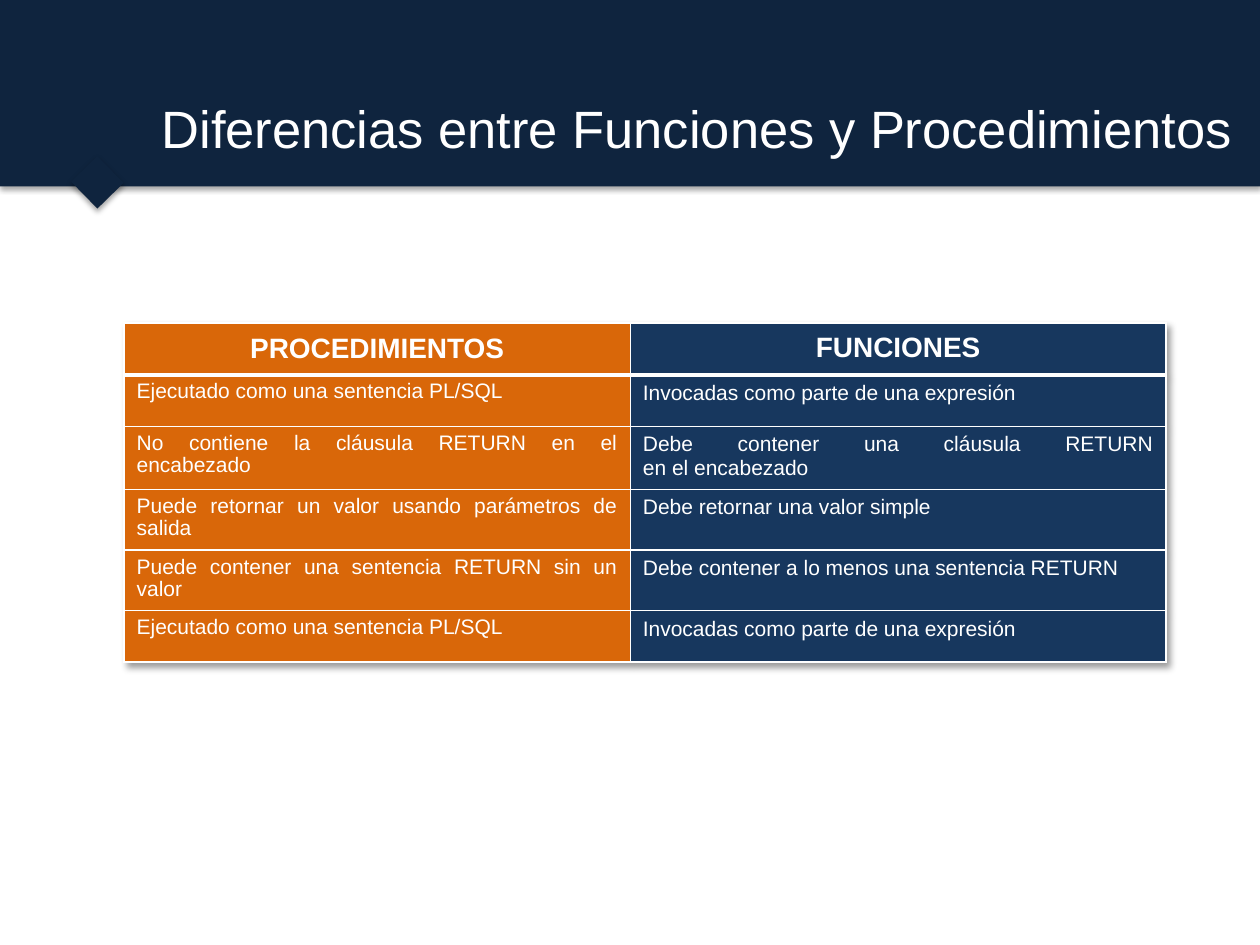
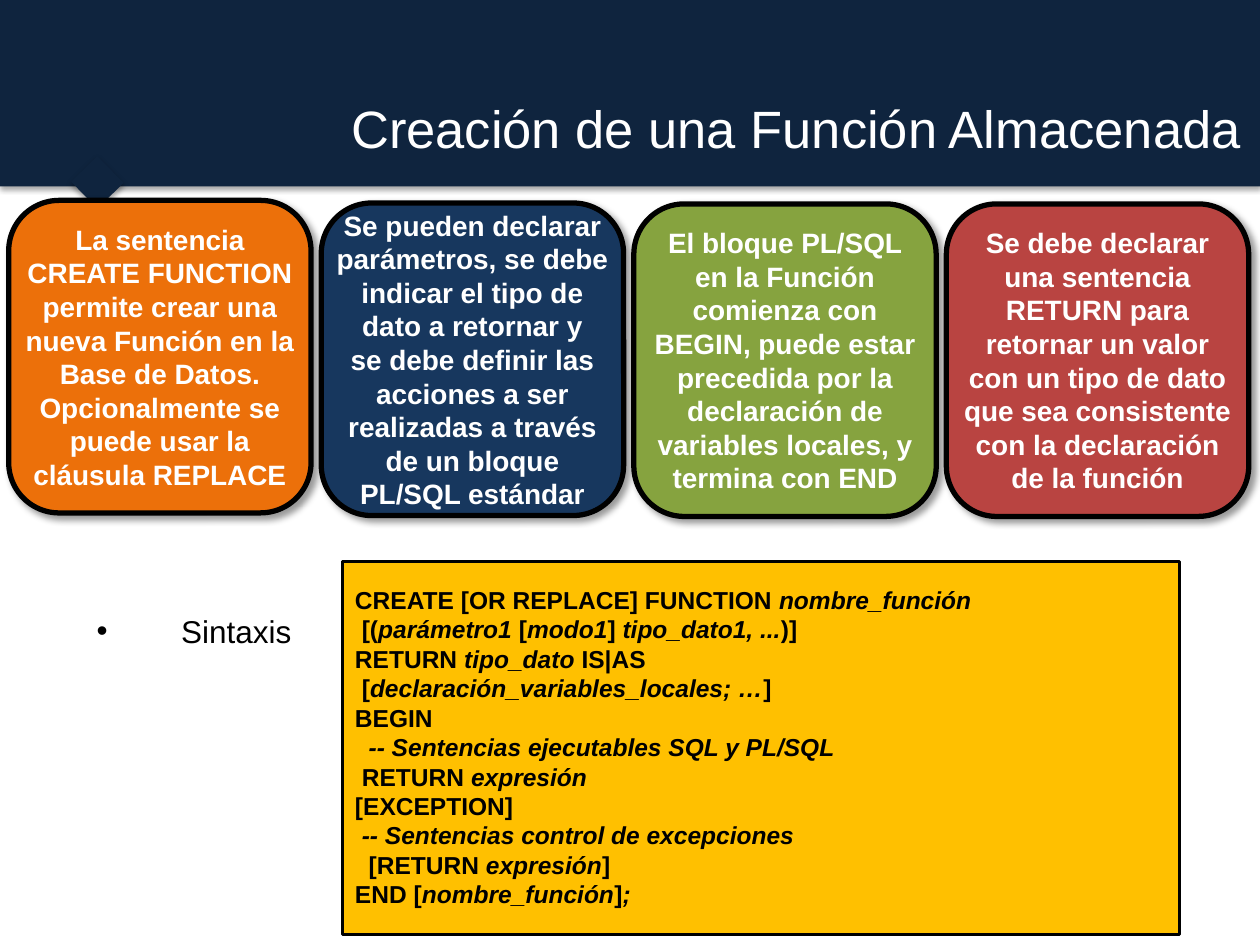
from dataclasses import dataclass
from lxml import etree
from pptx import Presentation
from pptx.dml.color import RGBColor
from pptx.enum.shapes import MSO_SHAPE
from pptx.enum.text import MSO_ANCHOR, PP_ALIGN
from pptx.oxml.ns import qn
from pptx.util import Pt

RECTANGLE = MSO_SHAPE.RECTANGLE
ROUNDED = MSO_SHAPE.ROUNDED_RECTANGLE
TOP, MIDDLE = MSO_ANCHOR.TOP, MSO_ANCHOR.MIDDLE
LEFT, CENTER = PP_ALIGN.LEFT, PP_ALIGN.CENTER
RIGHT, JUSTIFY = PP_ALIGN.RIGHT, PP_ALIGN.JUSTIFY


@dataclass(frozen=True)
class Theme:
    font: str = "Arial"
    band: str = "0F243E"
    navy: str = "17375E"
    rust: str = "D96709"
    orange: str = "EC700A"
    green: str = "86A33F"
    red: str = "B94441"
    gold: str = "FFC000"
    white: str = "FFFFFF"
    black: str = "000000"
    title_size: float = 30
    label_size: float = 18
    heading_size: float = 16
    code_size: float = 14
    cell_size: float = 12
    leading: float = 1.2
    band_shadow: tuple = (35, 3.1, 1.8, 90)
    object_shadow: tuple = (40, 4, 3, 45)


THEME = Theme()

COMPARISON = [
    ("PROCEDIMIENTOS", "FUNCIONES"),
    ("Ejecutado como una sentencia PL/SQL", "Invocadas como parte de una expresión"),
    ("No contiene la cláusula RETURN en el encabezado",
     "Debe contener una cláusula RETURN\nen el encabezado"),
    ("Puede retornar un valor usando parámetros de salida", "Debe retornar una valor simple"),
    ("Puede contener una sentencia RETURN sin un valor",
     "Debe contener a lo menos una sentencia RETURN"),
    ("Ejecutado como una sentencia PL/SQL", "Invocadas como parte de una expresión"),
]

CARDS = [
    (0, THEME.orange, "La sentencia CREATE FUNCTION permite crear una nueva Función en la "
     "Base de Datos. Opcionalmente se puede usar la cláusula REPLACE"),
    (1.5, THEME.navy, "Se pueden declarar parámetros, se debe indicar el tipo de dato a retornar y\n"
     "se debe definir las acciones a ser realizadas a través de un bloque PL/SQL estándar"),
    (2, THEME.green, "El bloque PL/SQL en la Función comienza con BEGIN, puede estar precedida "
     "por la declaración de variables locales, y termina con END"),
    (2, THEME.red, "Se debe declarar una sentencia RETURN para retornar un valor con un tipo "
     "de dato que sea consistente con la declaración de la función"),
]

SYNTAX = [
    (0, ["CREATE [OR REPLACE] FUNCTION ", "nombre_función"]),
    (1, ["[(", "parámetro1 ", "[", "modo1", "]", " tipo_dato1, ...", ")]"]),
    (0, ["RETURN ", "tipo_dato ", "IS|AS"]),
    (1, ["[", "declaración_variables_locales; …", "]"]),
    (0, ["BEGIN"]),
    (2, ["", "-- Sentencias ejecutables SQL y PL/SQL"]),
    (1, ["RETURN ", "expresión"]),
    (0, ["[EXCEPTION]"]),
    (1, ["", "-- Sentencias control de excepciones"]),
    (2, ["[RETURN ", "expresión", "]"]),
    (0, ["END [", "nombre_función", "]", ";"]),
]


def set_values(target, values):
    for name, value in values.items():
        setattr(target, name, value)


def add_color(parent, color):
    fill = etree.SubElement(parent, qn("a:solidFill"))
    return etree.SubElement(fill, qn("a:srgbClr"), val=color)


def make_shadow(settings):
    opacity, blur, distance, angle = settings
    effects = etree.Element(qn("a:effectLst"))
    shadow = etree.SubElement(
        effects, qn("a:outerShdw"), blurRad=str(Pt(blur)), dist=str(Pt(distance)),
        dir=str(angle * 60000), algn="ctr", rotWithShape="0")
    color = etree.SubElement(shadow, qn("a:srgbClr"), val=THEME.black)
    etree.SubElement(color, qn("a:alpha"), val=str(opacity * 1000))
    return effects


def add_span(para, text, size, color, bold=False, italic=False):
    span = para.add_run()
    span.text = text
    set_values(span.font, {"name": THEME.font, "size": Pt(size), "bold": bold, "italic": italic})
    span.font.color.rgb = RGBColor.from_string(color)


def write_lines(para, text, size, color, bold=False):
    for index, line in enumerate(text.split("\n")):
        if index:
            para.add_line_break()
        add_span(para, line, size, color, bold)


def set_frame(frame, anchor, margin=None, margin_top=None):
    set_values(frame, {"word_wrap": True, "vertical_anchor": anchor})
    if margin is not None:
        sides = ("margin_left", "margin_top", "margin_right", "margin_bottom")
        set_values(frame, {side: Pt(margin) for side in sides})
    if margin_top is not None:
        frame.margin_top = Pt(margin_top)


def add_box(page, kind, box, fill, line_width=0, shadow=None):
    shape = page.shapes.add_shape(kind, *map(Pt, box))
    shape.shadow.inherit = False
    shape.fill.solid()
    shape.fill.fore_color.rgb = RGBColor.from_string(fill)
    if line_width:
        shape.line.color.rgb = RGBColor.from_string(THEME.black)
        shape.line.width = Pt(line_width)
    else:
        shape.line.fill.background()
    if shadow:
        properties = shape.element.spPr
        properties.replace(properties.find(qn("a:effectLst")), make_shadow(shadow))
    return shape


def add_text_box(page, box, anchor):
    shape = page.shapes.add_textbox(*map(Pt, box))
    set_frame(shape.text_frame, anchor)
    return shape.text_frame.paragraphs[0]


def add_header(page, title, title_left, title_width):
    add_box(page, RECTANGLE, (0, 0, 720, 106.5), THEME.band, shadow=THEME.band_shadow)
    pointer = add_box(page, RECTANGLE, (44.9, 93.7, 21.5, 21), THEME.band, shadow=THEME.band_shadow)
    pointer.rotation = 45.6
    para = add_text_box(page, (title_left, 15.1, title_width, 115.2), MIDDLE)
    para.alignment = RIGHT
    add_span(para, title, THEME.title_size, THEME.white)


def set_borders(cell, widths):
    properties = cell._tc.get_or_add_tcPr()
    for index, (side, width) in enumerate(widths.items()):
        line = etree.Element(qn(f"a:ln{side}"), w=str(Pt(width)))
        add_color(line, THEME.white)
        properties.insert(index, line)


def add_comparison(page, box, rows):
    left, top, width, row_height = box
    frame = page.shapes.add_table(len(rows), 2, Pt(left), Pt(top), Pt(width), Pt(row_height * len(rows)))
    table = frame.table
    set_values(table, {"first_row": False, "horz_banding": False})
    table._tbl.tblPr.insert(0, make_shadow(THEME.object_shadow))
    first_width = 289.3
    for column, column_width in zip(table.columns, (first_width, width - first_width)):
        column.width = Pt(column_width)
    for row_index, texts in enumerate(rows):
        heading = row_index == 0
        size = THEME.heading_size if heading else THEME.cell_size
        borders = {"L": 1, "R": 1, "T": 3 if row_index == 1 else 1, "B": 3 if heading else 1}
        for column_index, text in enumerate(texts):
            cell = table.cell(row_index, column_index)
            cell.vertical_anchor = MIDDLE if heading else TOP
            cell.fill.solid()
            cell.fill.fore_color.rgb = RGBColor.from_string((THEME.rust, THEME.navy)[column_index])
            set_borders(cell, borders)
            para = cell.text_frame.paragraphs[0]
            para.alignment = CENTER if heading else JUSTIFY
            if heading == bool(column_index):
                para.line_spacing = 0.95
            write_lines(para, text, size, THEME.white, heading)


def add_cards(page, box, cards):
    left, top, width, height = box
    pitch = 178.6
    for index, (drop, fill, text) in enumerate(cards):
        card_box = (left + index * pitch, top + drop, width, height)
        card = add_box(page, ROUNDED, card_box, fill, 3, THEME.object_shadow)
        set_frame(card.text_frame, MIDDLE, margin=0)
        para = card.text_frame.paragraphs[0]
        set_values(para, {"alignment": CENTER, "line_spacing": Pt(THEME.heading_size * THEME.leading)})
        write_lines(para, text, THEME.heading_size, THEME.white, True)


def add_syntax(page, box, lines):
    panel = add_box(page, RECTANGLE, box, THEME.gold, 1.75)
    frame = panel.text_frame
    set_frame(frame, TOP, margin_top=13.2)
    for index, (level, spans) in enumerate(lines):
        para = frame.add_paragraph() if index else frame.paragraphs[0]
        set_values(para, {"alignment": LEFT, "line_spacing": Pt(THEME.code_size * THEME.leading)})
        para._p.get_or_add_pPr().set("marL", str(Pt(3.9 * level)))
        for position, text in enumerate(spans):
            if text:
                add_span(para, text, THEME.code_size, THEME.black, True, position % 2 == 1)


def add_bullet_label(page, box, text):
    para = add_text_box(page, box, TOP)
    properties = para._p.get_or_add_pPr()
    indent = Pt(48.2)
    properties.set("marL", str(indent))
    properties.set("indent", str(-indent))
    etree.SubElement(properties, qn("a:buFont"), typeface=THEME.font)
    etree.SubElement(properties, qn("a:buChar"), char="•")
    para.alignment = JUSTIFY
    add_span(para, text, THEME.label_size, THEME.black)


def build_differences(page):
    add_header(page, "Diferencias entre Funciones y Procedimientos", 36.7, 674.6)
    add_comparison(page, (70.9, 184.7, 595.5, 29.5), COMPARISON)


def build_creation(page):
    add_header(page, "Creación de una Función Almacenada", 25.2, 691.2)
    add_cards(page, (5, 114.5, 172.8, 178.6), CARDS)
    add_syntax(page, (195.8, 321.1, 478.1, 213.1), SYNTAX)
    add_bullet_label(page, (48.2, 346, 140, 28), "Sintaxis")


def main():
    deck = Presentation()
    set_values(deck, {"slide_width": Pt(720), "slide_height": Pt(540)})
    for build in (build_differences, build_creation):
        build(deck.slides.add_slide(deck.slide_layouts[6]))
    deck.save("out.pptx")


if __name__ == "__main__":
    main()
